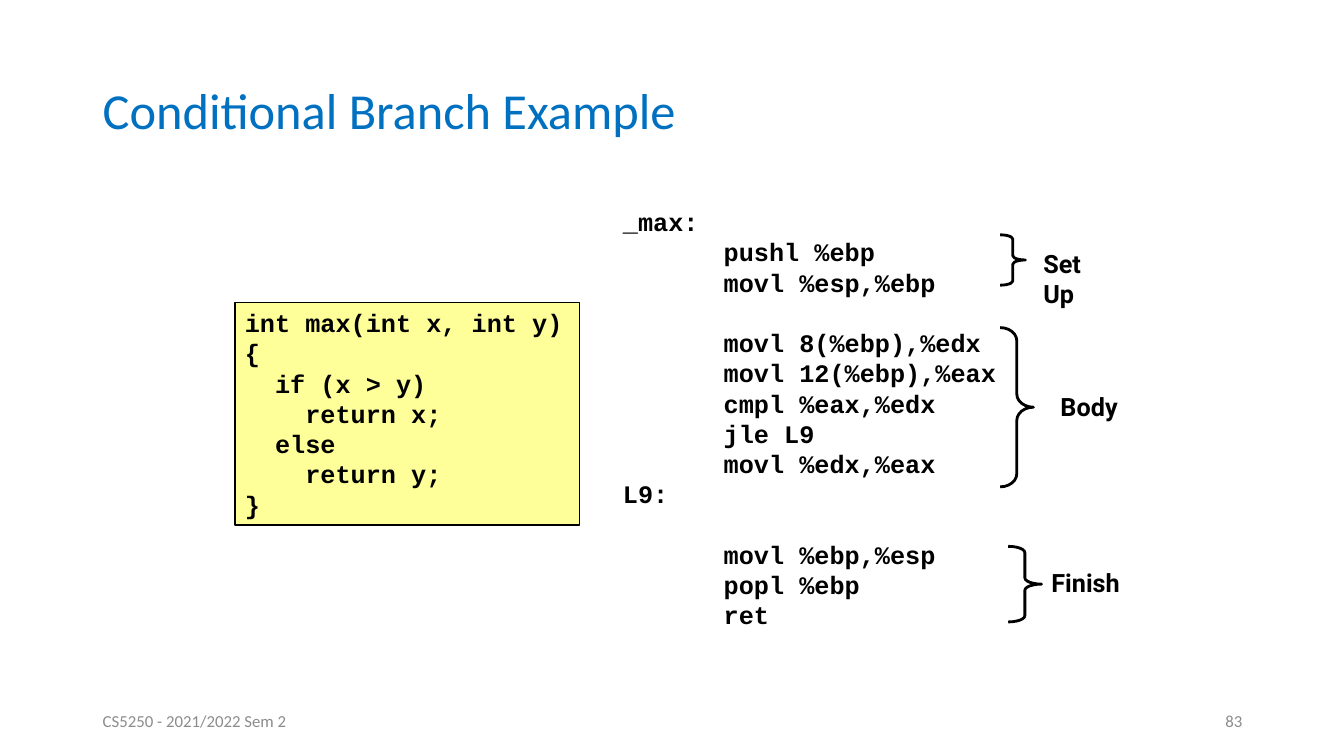
from dataclasses import dataclass

from lxml.etree import SubElement
from pptx import Presentation
from pptx.dml.color import RGBColor
from pptx.enum.shapes import MSO_SHAPE as Shape
from pptx.enum.text import MSO_ANCHOR as Anchor, PP_ALIGN as Align
from pptx.oxml.ns import qn
from pptx.shapes.base import BaseShape
from pptx.slide import Slide
from pptx.util import Emu, Pt

EMU_PER_PX = 9144  # 100 px to the inch

BLACK = RGBColor(0x00, 0x00, 0x00)
BLUE = RGBColor(0x00, 0x70, 0xC0)
GREY = RGBColor(0x8C, 0x8C, 0x8C)
YELLOW = RGBColor(0xFF, 0xFF, 0x99)

CODE_LINE = Pt(21.6)
TAB_STOP = 100

C_SOURCE = """int max(int x, int y)
{
  if (x > y)
    return x;
  else
    return y;
}"""

ASSEMBLY = """_max:
\tpushl %ebp
\tmovl %esp,%ebp
\tmovl 8(%ebp),%edx
\tmovl 12(%ebp),%eax
\tcmpl %eax,%edx
\tjle L9
\tmovl %edx,%eax
L9:
\tmovl %ebp,%esp
\tpopl %ebp
\tret"""
SECTION_STARTS = (3, 9)  # assembly lines set off by a one-line gap


@dataclass(frozen=True)
class Box:
    left: int
    top: int
    width: int
    height: int

    def emu(self) -> tuple[Emu, ...]:
        sides = (self.left, self.top, self.width, self.height)
        return tuple(Emu(side * EMU_PER_PX) for side in sides)


@dataclass(frozen=True)
class TextStyle:
    font: str
    size: int
    color: RGBColor
    bold: bool = False
    align: Align = Align.LEFT
    anchor: Anchor = Anchor.TOP
    wrap: bool = True
    line_spacing: float | Emu | None = None


@dataclass(frozen=True)
class Phase:
    """A brace beside the assembly code and the name of that part."""
    name: str
    brace: Box
    curl: float
    label: Box


TITLE = TextStyle("Calibri", 36, BLUE, anchor=Anchor.MIDDLE, line_spacing=0.9)
FOOTER = TextStyle("Calibri", 12, GREY, anchor=Anchor.MIDDLE)
PAGE_NUMBER = TextStyle("Calibri", 12, GREY, align=Align.RIGHT, anchor=Anchor.MIDDLE)
CODE = TextStyle("Courier New", 18, BLACK, bold=True, line_spacing=CODE_LINE)
LABEL = TextStyle("Roboto", 18, BLACK, bold=True, wrap=False)

PHASES = (
    Phase("Set\nUp", Box(992, 233, 25, 50), 0.167, Box(1025, 241, 59, 70)),
    Phase("Body", Box(992, 325, 33, 158), 0.396, Box(1042, 383, 83, 40)),
    Phase("Finish", Box(1000, 542, 33, 75), 0.188, Box(1033, 558, 94, 40)),
)


def write_text(shape: BaseShape, text: str, style: TextStyle) -> None:
    frame = shape.text_frame
    frame.text = text
    frame.word_wrap = style.wrap
    frame.vertical_anchor = style.anchor
    for paragraph in frame.paragraphs:
        paragraph.alignment = style.align
        if style.line_spacing is not None:
            paragraph.line_spacing = style.line_spacing
        for run in paragraph.runs:
            run.font.name = style.font
            run.font.size = Pt(style.size)
            run.font.bold = style.bold
            run.font.color.rgb = style.color


def add_text(slide: Slide, box: Box, text: str, style: TextStyle) -> BaseShape:
    shape = slide.shapes.add_textbox(*box.emu())
    write_text(shape, text, style)
    return shape


def add_outlined(slide: Slide, kind: Shape, box: Box, line_width: int) -> BaseShape:
    """Add an unfilled preset shape with a black outline."""
    shape = slide.shapes.add_shape(kind, *box.emu())
    shape.shadow.inherit = False
    shape.fill.background()
    shape.line.color.rgb = BLACK
    shape.line.width = Pt(line_width)
    return shape


def add_c_source(slide: Slide) -> None:
    panel = add_outlined(slide, Shape.RECTANGLE, Box(233, 300, 342, 221), 1)
    panel.fill.solid()
    panel.fill.fore_color.rgb = YELLOW
    write_text(panel, C_SOURCE, CODE)


def add_assembly(slide: Slide) -> None:
    listing = add_text(slide, Box(608, 200, 417, 430), ASSEMBLY, CODE)
    paragraphs = listing.text_frame.paragraphs
    for start in SECTION_STARTS:
        paragraphs[start].space_before = CODE_LINE
    for paragraph in paragraphs:
        properties = paragraph._p.get_or_add_pPr()
        tab = SubElement(SubElement(properties, qn("a:tabLst")), qn("a:tab"))
        tab.set("pos", str(TAB_STOP * EMU_PER_PX))
        tab.set("algn", "l")


def add_phase(slide: Slide, phase: Phase) -> None:
    brace = add_outlined(slide, Shape.RIGHT_BRACE, phase.brace, 2)
    brace.adjustments[0] = phase.curl
    brace.adjustments[1] = 0.5
    add_text(slide, phase.label, phase.name, LABEL)


def main() -> None:
    presentation = Presentation()
    presentation.slide_width = Emu(1333 * EMU_PER_PX)
    presentation.slide_height = Emu(750 * EMU_PER_PX)
    slide = presentation.slides.add_slide(presentation.slide_layouts[6])

    add_text(slide, Box(92, 40, 1150, 145), "Conditional Branch Example", TITLE)
    add_text(slide, Box(92, 695, 300, 40), "CS5250 - 2021/2022 Sem 2", FOOTER)
    add_text(slide, Box(942, 695, 300, 40), "83", PAGE_NUMBER)
    add_c_source(slide)
    add_assembly(slide)
    for phase in PHASES:
        add_phase(slide, phase)

    presentation.save("out.pptx")


if __name__ == "__main__":
    main()
